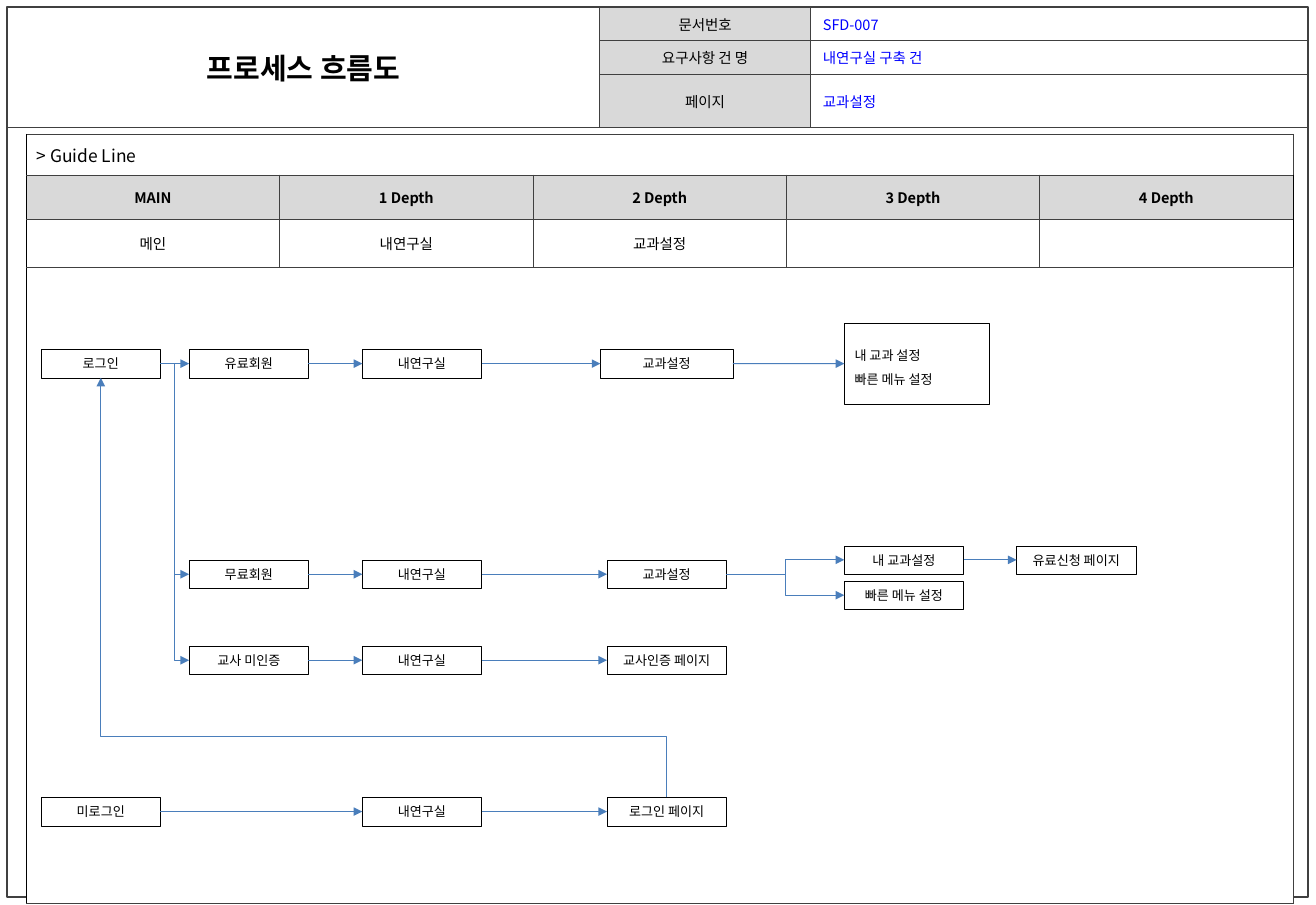
from lxml.etree import SubElement, Element
from pptx import Presentation
from pptx.dml.color import RGBColor
from pptx.enum.shapes import MSO_CONNECTOR as LINK, MSO_SHAPE as SHAPE
from pptx.enum.text import MSO_ANCHOR as ANCHOR, PP_ALIGN as ALIGN
from pptx.oxml.ns import qn
from pptx.util import Cm, Pt

COLORS = {"white": "FFFFFF", "black": "000000", "grid": "404040",
          "label": "D9D9D9", "value": "0000FF", "arrow": "4A7EBB"}
FONT = "Noto Sans CJK KR"
STYLES = {
    "title": {"size": Pt(20), "bold": True},
    "guide": {"size": Pt(12), "bold": False},
    "heading": {"size": Pt(10), "bold": True},
    "body": {"size": Pt(10), "bold": False},
    "step": {"size": Pt(9), "bold": False},
}
TOP, LEFT, BOTTOM, RIGHT = range(4)  # connection sites of a rectangle
STEP_W, STEP_H = 2.9, 0.69

# Process steps: left and vertical centre in cm
COLUMNS = {"start": 1.0, "member": 4.6, "lab": 8.81, "setup": 14.76,
           "menu": 20.53, "apply": 24.72}
ROWS = {"paid": 8.84, "my": 13.61, "free": 13.96, "quick": 14.47,
        "teacher": 16.05, "guest": 19.73}
STEPS = [
    ("start", "paid", "로그인"), ("member", "paid", "유료회원"),
    ("lab", "paid", "내연구실"),
    ("member", "free", "무료회원"), ("lab", "free", "내연구실"),
    ("setup", "free", "교과설정"), ("menu", "my", "내 교과설정"),
    ("menu", "quick", "빠른 메뉴 설정"), ("apply", "my", "유료신청 페이지"),
    ("member", "teacher", "교사 미인증"), ("lab", "teacher", "내연구실"),
    ("setup", "teacher", "교사인증 페이지"),
    ("start", "guest", "미로그인"), ("lab", "guest", "내연구실"),
    ("setup", "guest", "로그인 페이지"),
]
# Each flow lists the steps that its arrows join in turn
FLOWS = [
    ["start paid", "member paid", "lab paid", "setup paid", "menu paid"],
    ["start paid", "member free", "lab free", "setup free", "menu my", "apply my"],
    ["setup free", "menu quick"],
    ["start paid", "member teacher", "lab teacher", "setup teacher"],
    ["start guest", "lab guest", "setup guest"],
]


def rgb(name):
    return RGBColor.from_string(COLORS[name])


def write(frame, lines, style, color="black", align=ALIGN.CENTER, spacing=None):
    for i, line in enumerate(lines):
        paragraph = frame.paragraphs[0] if i == 0 else frame.add_paragraph()
        paragraph.alignment = align
        paragraph.line_spacing = spacing
        run = paragraph.add_run()
        run.text = line
        for attribute, value in {**STYLES[style], "name": FONT}.items():
            setattr(run.font, attribute, value)
        run.font.color.rgb = rgb(color)
        SubElement(run.font._element, qn("a:ea"), typeface=FONT)


def set_borders(cell, edges):
    """edges: (colour, points) for left, right, top, bottom."""
    properties = cell._tc.get_or_add_tcPr()
    for i, (side, (color, points)) in enumerate(zip("LRTB", edges)):
        line = Element(qn(f"a:ln{side}"), w=str(Pt(points)))
        fill = SubElement(line, qn("a:solidFill"))
        SubElement(fill, qn("a:srgbClr"), val=COLORS[color])
        properties.insert(i, line)


def add_grid(slide, left, top, widths, heights, outer_sides, outer_ends):
    """Plain white table; the outer edges take their own lines."""
    table = slide.shapes.add_table(len(heights), len(widths), Cm(left), Cm(top),
                                   Cm(sum(widths)), Cm(sum(heights))).table
    table.first_row = table.horz_banding = False
    for column, width in zip(table.columns, widths):
        column.width = Cm(width)
    for row, height in zip(table.rows, heights):
        row.height = Cm(height)
    inner = ("grid", 0.45)
    last_row, last_column = len(heights) - 1, len(widths) - 1
    for r in range(len(heights)):
        for c in range(len(widths)):
            cell = table.cell(r, c)
            fill_cell(cell, "white")
            cell.vertical_anchor = ANCHOR.MIDDLE
            set_borders(cell, [outer_sides if c == 0 else inner,
                               outer_sides if c == last_column else inner,
                               outer_ends if r == 0 else inner,
                               outer_ends if r == last_row else inner])
    return table


def fill_cell(cell, color):
    cell.fill.solid()
    cell.fill.fore_color.rgb = rgb(color)


def add_box(slide, left, top, width, height, line, points, fill=None):
    box = slide.shapes.add_shape(SHAPE.RECTANGLE, Cm(left), Cm(top), Cm(width), Cm(height))
    box.shadow.inherit = False
    if fill:
        box.fill.solid()
        box.fill.fore_color.rgb = rgb(fill)
    else:
        box.fill.background()
    box.line.color.rgb = rgb(line)
    box.line.width = Pt(points)
    return box


def add_step(slide, left, middle, lines, width=STEP_W, height=STEP_H, points=0.11, **text):
    step = add_box(slide, left, middle - height / 2, width, height, "black", points, "white")
    step.text_frame.word_wrap = True
    step.text_frame.vertical_anchor = ANCHOR.MIDDLE
    write(step.text_frame, lines, "step", **text)
    return step


def add_arrow(slide, source, target, kind, sites=(RIGHT, LEFT)):
    arrow = slide.shapes.add_connector(kind, 0, 0, 0, 0)
    arrow.begin_connect(source, sites[0])
    arrow.end_connect(target, sites[1])
    arrow.line.color.rgb = rgb("arrow")
    arrow.line.width = Pt(0.75)
    properties = arrow.element.spPr
    SubElement(properties.find(qn("a:ln")), qn("a:tailEnd"), type="triangle")
    SubElement(properties, qn("a:effectLst"))
    return arrow


def add_return_arrow(slide, source, target, bend):
    """Arrow that leaves upwards, runs left and ends from below."""
    arrow = add_arrow(slide, source, target, LINK.ELBOW, (TOP, BOTTOM))
    across, rise = arrow.width, arrow.height
    arrow.left += (across - rise) // 2
    arrow.top += (rise - across) // 2
    arrow.width, arrow.height = rise, across
    properties = arrow.element.spPr
    transform = properties.find(qn("a:xfrm"))
    transform.attrib.pop("flipH", None)
    transform.set("rot", str(270 * 60000))
    transform.set("flipV", "1")
    geometry = properties.find(qn("a:prstGeom"))
    adjustments = geometry.find(qn("a:avLst"))
    SubElement(adjustments, qn("a:gd"), name="adj1", fmla=f"val {bend}")


def add_header(slide):
    header = add_grid(slide, 0.18, 0.18, [14.4, 5.13, 12.09], [0.81, 0.82, 1.27],
                      ("grid", 0.75), ("grid", 0.75))
    header.cell(0, 0).merge(header.cell(2, 0))
    write(header.cell(0, 0).text_frame, ["프로세스 흐름도"], "title")
    details = [("문서번호", "SFD-007"), ("요구사항 건 명", "내연구실 구축 건"),
               ("페이지", "교과설정")]
    for r, (label, value) in enumerate(details):
        fill_cell(header.cell(r, 1), "label")
        write(header.cell(r, 1).text_frame, [label], "body")
        header.cell(r, 2).margin_left = Cm(0.3)
        write(header.cell(r, 2).text_frame, [value], "body", "value", ALIGN.LEFT)


def add_guide(slide):
    guide = add_grid(slide, 0.64, 3.26, [6.16] * 5, [0.99, 1.07, 1.17, 15.48],
                     ("black", 0.45), ("grid", 0.45))
    for r in (0, 3):
        guide.cell(r, 0).merge(guide.cell(r, 4))
    write(guide.cell(0, 0).text_frame, ["> Guide Line"], "guide", align=ALIGN.LEFT)
    for c, depth in enumerate(["MAIN", "1 Depth", "2 Depth", "3 Depth", "4 Depth"]):
        fill_cell(guide.cell(1, c), "label")
        write(guide.cell(1, c).text_frame, [depth], "heading")
    for c, place in enumerate(["메인", "내연구실", "교과설정"]):
        write(guide.cell(2, c).text_frame, [place], "body")


def add_process(slide):
    steps = {f"{column} {row}": add_step(slide, COLUMNS[column], ROWS[row], [text])
             for column, row, text in STEPS}
    # The two wider steps of the paid flow
    steps["setup paid"] = add_step(slide, 14.6, ROWS["paid"], ["교과설정"], width=3.22)
    steps["menu paid"] = add_step(slide, COLUMNS["menu"], ROWS["paid"],
                                  ["내 교과 설정", "빠른 메뉴 설정"], width=3.52, height=1.96,
                                  points=0.25, align=ALIGN.LEFT, spacing=1.5)
    for flow in FLOWS:
        for source, target in zip(flow, flow[1:]):
            level = source.split()[1] == target.split()[1]
            add_arrow(slide, steps[source], steps[target],
                      LINK.STRAIGHT if level else LINK.ELBOW)
    add_return_arrow(slide, steps["setup guest"], steps["start paid"], 14500)


def main():
    deck = Presentation()
    deck.slide_width, deck.slide_height = Cm(32), Cm(22)
    slide = deck.slides.add_slide(deck.slide_layouts[6])
    add_box(slide, 0.18, 0.18, 31.62, 21.62, "grid", 1.5)  # page frame
    add_header(slide)
    add_guide(slide)
    add_process(slide)
    deck.save("out.pptx")


if __name__ == "__main__":
    main()
